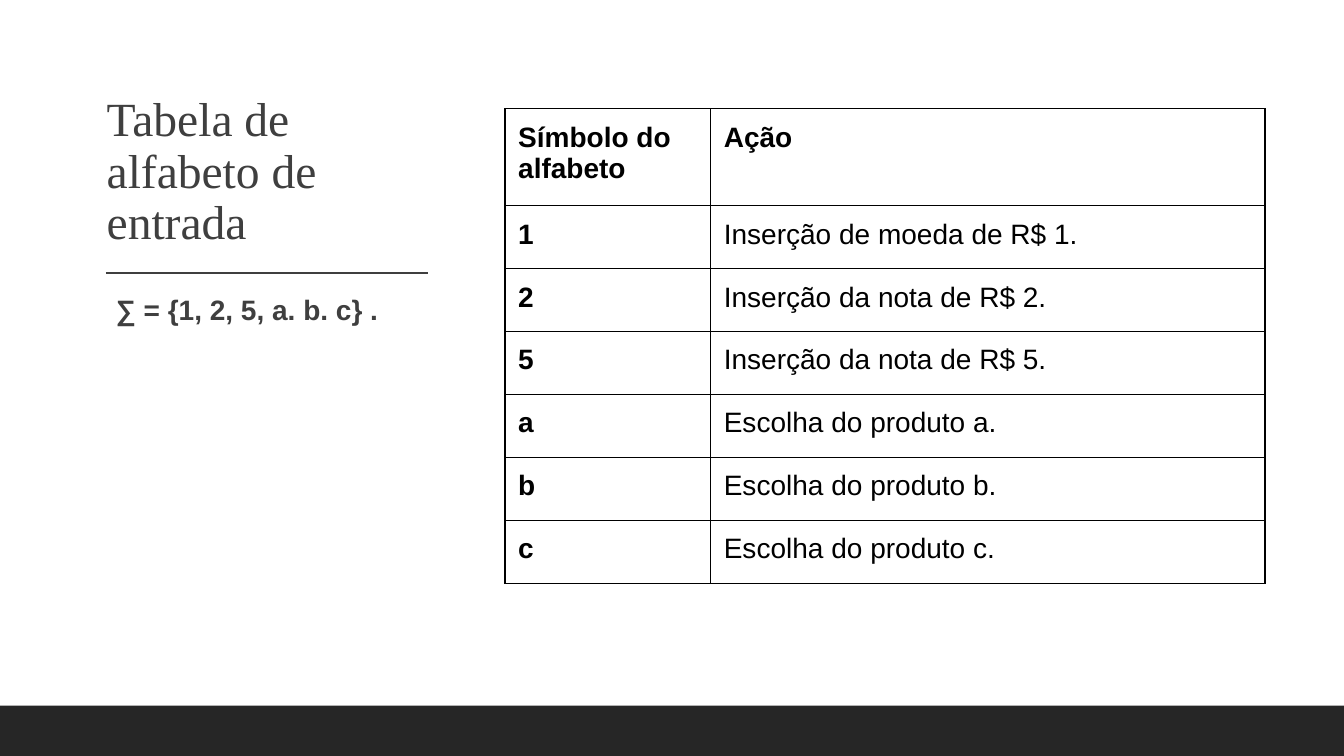
from dataclasses import dataclass

from lxml import etree
from pptx import Presentation
from pptx.dml.color import RGBColor
from pptx.enum.shapes import MSO_CONNECTOR, MSO_SHAPE
from pptx.enum.text import MSO_ANCHOR, PP_ALIGN
from pptx.oxml.ns import qn
from pptx.util import Inches, Pt

RECTANGLE = MSO_SHAPE.RECTANGLE
STRAIGHT = MSO_CONNECTOR.STRAIGHT
TOP, BOTTOM = MSO_ANCHOR.TOP, MSO_ANCHOR.BOTTOM
LEFT = PP_ALIGN.LEFT

DECK_WIDTH, DECK_HEIGHT = Inches(13.33), Inches(7.5)
WHITE, BLACK, INK, FOOTER = "FFFFFF", "000000", "3F3F3F", "262626"
SERIF, SANS = "Times New Roman", "Arial"


@dataclass(frozen=True)
class Area:
    """A place on the slide, in percent of its width and height."""
    left: float
    top: float
    width: float
    height: float


@dataclass(frozen=True)
class Panel:
    area: Area
    color: str


@dataclass(frozen=True)
class Style:
    font: str
    size: float
    color: str
    bold: bool = False


@dataclass(frozen=True)
class Label:
    area: Area
    text: str
    style: Style
    anchor: MSO_ANCHOR
    side_inset: float
    indent: float = 0


PANELS = [
    Panel(Area(0, 0, 100, 100), WHITE),
    Panel(Area(0, 93.33, 100, 6.67), FOOTER),
]
LABELS = [
    Label(Area(7.2, 9.33, 26.1, 24.4), "Tabela de alfabeto de entrada",
          Style(SERIF, 34, INK), BOTTOM, 0.1),
    Label(Area(7.88, 38.53, 26.25, 47.07), "∑ = {1, 2, 5, a. b. c} .",
          Style(SANS, 20, INK, True), TOP, 0, 0.1),
]
RULE = Area(7.88, 36.13, 24, 0)

ALPHABET = [
    ("Símbolo do alfabeto", "Ação"),
    ("1", "Inserção de moeda de R$ 1."),
    ("2", "Inserção da nota de R$ 2."),
    ("5", "Inserção da nota de R$ 5."),
    ("a", "Escolha do produto a."),
    ("b", "Escolha do produto b."),
    ("c", "Escolha do produto c."),
]
COLUMN_SHARES = (15.3, 41.25)
HEADER_SHARE, ROW_SHARE = 12.8, 8.33
TABLE_AREA = Area(37.58, 14.4, sum(COLUMN_SHARES),
                  HEADER_SHARE + ROW_SHARE * (len(ALPHABET) - 1))
CELL_INSET = Inches(0.13)


def across(share: float) -> int:
    return round(DECK_WIDTH * share / 100)


def down(share: float) -> int:
    return round(DECK_HEIGHT * share / 100)


def place(area: Area) -> tuple[int, int, int, int]:
    return across(area.left), down(area.top), across(area.width), down(area.height)


def rgb(color: str) -> RGBColor:
    return RGBColor.from_string(color)


def add_span(para, text: str, style: Style) -> None:
    span = para.add_run()
    span.text = text
    span.font.name = style.font
    span.font.size = Pt(style.size)
    span.font.bold = style.bold
    span.font.color.rgb = rgb(style.color)


def add_panel(page, panel: Panel) -> None:
    box = page.shapes.add_shape(RECTANGLE, *place(panel.area))
    box.shadow.inherit = False
    box.fill.solid()
    box.fill.fore_color.rgb = rgb(panel.color)
    box.line.fill.background()


def add_label(page, label: Label) -> None:
    frame = page.shapes.add_textbox(*place(label.area)).text_frame
    frame.word_wrap = True
    frame.vertical_anchor = label.anchor
    frame.margin_left = frame.margin_right = Inches(label.side_inset)
    frame.margin_top = frame.margin_bottom = Inches(0.05)
    para = frame.paragraphs[0]
    para.alignment = LEFT
    para.line_spacing = 0.9
    if label.indent:
        para._p.get_or_add_pPr().set("marL", str(Inches(label.indent)))
    add_span(para, label.text, label.style)


def add_rule(page, area: Area) -> None:
    left, top, width, height = place(area)
    rule = page.shapes.add_connector(STRAIGHT, left, top, left + width, top + height)
    rule.line.color.rgb = rgb(INK)
    rule.line.width = Pt(1)
    etree.SubElement(rule._element.spPr, qn("a:effectLst"))


def add_borders(cell, color: str) -> None:
    properties = cell._tc.get_or_add_tcPr()
    for position, side in enumerate(("lnL", "lnR", "lnT", "lnB")):
        border = etree.Element(qn(f"a:{side}"), w=str(Pt(1)))
        fill = etree.SubElement(border, qn("a:solidFill"))
        etree.SubElement(fill, qn("a:srgbClr"), val=color)
        properties.insert(position, border)


def add_alphabet_table(page) -> None:
    table = page.shapes.add_table(
        len(ALPHABET), len(COLUMN_SHARES), *place(TABLE_AREA)).table
    table.first_row = table.horz_banding = False
    for column, share in zip(table.columns, COLUMN_SHARES):
        column.width = across(share)
    for row_number, texts in enumerate(ALPHABET):
        is_header = row_number == 0
        table.rows[row_number].height = down(HEADER_SHARE if is_header else ROW_SHARE)
        for column_number, text in enumerate(texts):
            cell = table.cell(row_number, column_number)
            cell.margin_left = cell.margin_right = CELL_INSET
            cell.margin_top = cell.margin_bottom = CELL_INSET
            cell.fill.background()
            add_borders(cell, BLACK)
            bold = is_header or column_number == 0
            add_span(cell.text_frame.paragraphs[0], text,
                     Style(SANS, 20, BLACK, bold))


def main() -> None:
    deck = Presentation()
    deck.slide_width, deck.slide_height = DECK_WIDTH, DECK_HEIGHT
    page = deck.slides.add_slide(deck.slide_layouts[6])

    # Background and footer band
    for panel in PANELS:
        add_panel(page, panel)

    # Heading, rule and input alphabet
    for label in LABELS:
        add_label(page, label)
    add_rule(page, RULE)

    # Symbols and their actions
    add_alphabet_table(page)

    deck.save("out.pptx")


if __name__ == "__main__":
    main()
